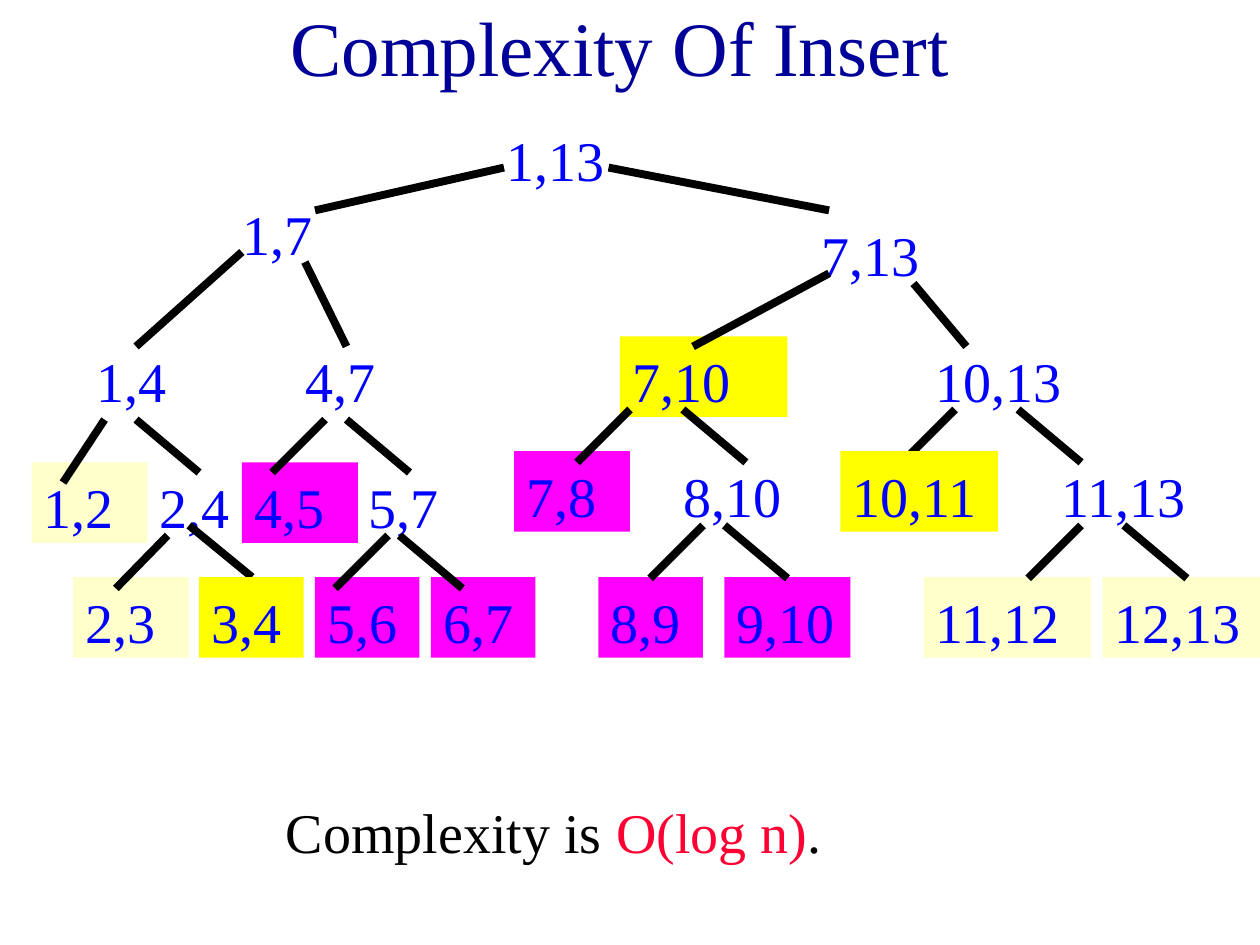
from lxml import etree
from pptx import Presentation
from pptx.dml.color import RGBColor
from pptx.enum import shapes, text
from pptx.oxml import ns
from pptx.util import Inches, Pt

FONT = "Times New Roman"
NAVY = RGBColor(0x00, 0x00, 0x99)
BLUE = RGBColor(0x00, 0x00, 0xFF)
RED = RGBColor(0xFF, 0x00, 0x33)
BLACK = RGBColor(0x00, 0x00, 0x00)
WHITE = RGBColor(0xFF, 0xFF, 0xFF)
CREAM = RGBColor(0xFF, 0xFF, 0xCC)
YELLOW = RGBColor(0xFF, 0xFF, 0x00)
PINK = RGBColor(0xFF, 0x00, 0xFF)

BOX_H = 0.64

# Segments of the tree: label, left, top, width, fill
NODES = [
    ("1,13", 3.92, 0.92, 1, None),
    ("1,7", 1.83, 1.5, 1, None),
    ("7,13", 6.42, 1.67, 1.25, None),
    ("1,4", 0.67, 2.67, 0.92, None),
    ("4,7", 2.33, 2.67, 1.17, None),
    ("7,10", 4.92, 2.67, 1.33, YELLOW),
    ("10,13", 7.33, 2.67, 1.33, None),
    ("1,2", 0.25, 3.67, 0.92, CREAM),
    ("2,4", 1.17, 3.67, 0.92, None),
    ("4,5", 1.92, 3.67, 0.92, PINK),
    ("5,7", 2.83, 3.67, 1, None),
    ("7,8", 4.08, 3.58, 0.92, PINK),
    ("8,10", 5.33, 3.58, 1.33, None),
    ("11,13", 8.33, 3.58, 1.33, None),
    ("2,3", 0.58, 4.58, 0.92, CREAM),
    ("5,6", 2.5, 4.58, 0.83, PINK),
    ("6,7", 3.42, 4.58, 0.83, PINK),
    ("8,9", 4.75, 4.58, 0.83, PINK),
    ("9,10", 5.75, 4.58, 1, PINK),
    ("11,12", 7.33, 4.58, 1.33, CREAM),
    ("12,13", 8.75, 4.58, 1.25, CREAM),
]
# These cover the ends of their lines
FRONT = [
    ("3,4", 1.58, 4.58, 0.83, YELLOW),
    ("10,11", 6.67, 3.58, 1.25, YELLOW),
]

# Upper branches: x and y of start, x and y of end
EDGES = [
    (4, 1.33, 2.5, 1.67), (4.83, 1.33, 6.58, 1.67),
    (1.92, 2, 1.08, 2.75), (2.42, 2.08, 2.75, 2.75),
    (6.58, 2.17, 5.5, 2.75), (7.25, 2.25, 7.67, 2.75),
    (0.83, 3.33, 0.5, 3.83), (1.08, 3.33, 1.58, 3.75),
    (1.33, 4.25, 0.92, 4.67), (1.5, 4.17, 2, 4.58),
]
# Lower pairs of equal slope: left start x, right start x, start y
FORKS = [
    (2.58, 2.75, 3.33), (5, 5.42, 3.25), (7.58, 8.08, 3.25),
    (3.08, 3.17, 4.25), (5.58, 5.75, 4.17), (8.58, 8.92, 4.17),
]
LEFT_RUN, RIGHT_RUN, DROP = 0.42, 0.5, 0.42


def add_text(slide, runs, x, y, w, h=BOX_H, *, size=32, fill=None,
             align=text.PP_ALIGN.LEFT, anchor=text.MSO_ANCHOR.TOP, top=0.08):
    """Place one line of (text, colour) runs, on a filled box if fill is given."""
    area = [Inches(v) for v in (x, y, w, h)]
    if fill is None:
        box = slide.shapes.add_textbox(*area)
    else:
        box = slide.shapes.add_shape(shapes.MSO_SHAPE.RECTANGLE, *area)
        box.shadow.inherit = False
        box.fill.solid()
        box.fill.fore_color.rgb = fill
        box.line.fill.background()
    frame = box.text_frame
    frame.word_wrap = True
    frame.vertical_anchor = anchor
    frame.margin_top = Inches(top)
    para = frame.paragraphs[0]
    para.alignment = align
    for words, color in runs:
        run = para.add_run()
        run.text = words
        run.font.name = FONT
        run.font.size = Pt(size)
        run.font.color.rgb = color


def add_edge(slide, x1, y1, x2, y2):
    ends = [Inches(v) for v in (x1, y1, x2, y2)]
    line = slide.shapes.add_connector(shapes.MSO_CONNECTOR.STRAIGHT, *ends)
    line.line.color.rgb = BLACK
    line.line.width = Pt(4.5)
    etree.SubElement(line._element.spPr, ns.qn("a:effectLst"))


def add_nodes(slide, nodes):
    for label, x, y, w, fill in nodes:
        add_text(slide, [(label, BLUE)], x, y, w, fill=fill)


def main():
    deck = Presentation()
    deck.slide_width, deck.slide_height = Inches(10), Inches(7.5)
    slide = deck.slides.add_slide(deck.slide_layouts[6])

    add_text(slide, [("Complexity Of Insert", NAVY)], 0.67, 0.07, 8.5, 0.58,
             size=44, align=text.PP_ALIGN.CENTER,
             anchor=text.MSO_ANCHOR.MIDDLE, top=0.05)
    add_text(slide, [("Complexity is ", BLACK), ("O(log n)", RED), (".", BLACK)],
             2.17, 6.25, 4.83, fill=WHITE)

    add_nodes(slide, NODES)
    for edge in EDGES:
        add_edge(slide, *edge)
    for left, right, y in FORKS:
        add_edge(slide, left, y, left - LEFT_RUN, y + DROP)
        add_edge(slide, right, y, right + RIGHT_RUN, y + DROP)
    add_nodes(slide, FRONT)

    deck.save("out.pptx")


if __name__ == "__main__":
    main()
